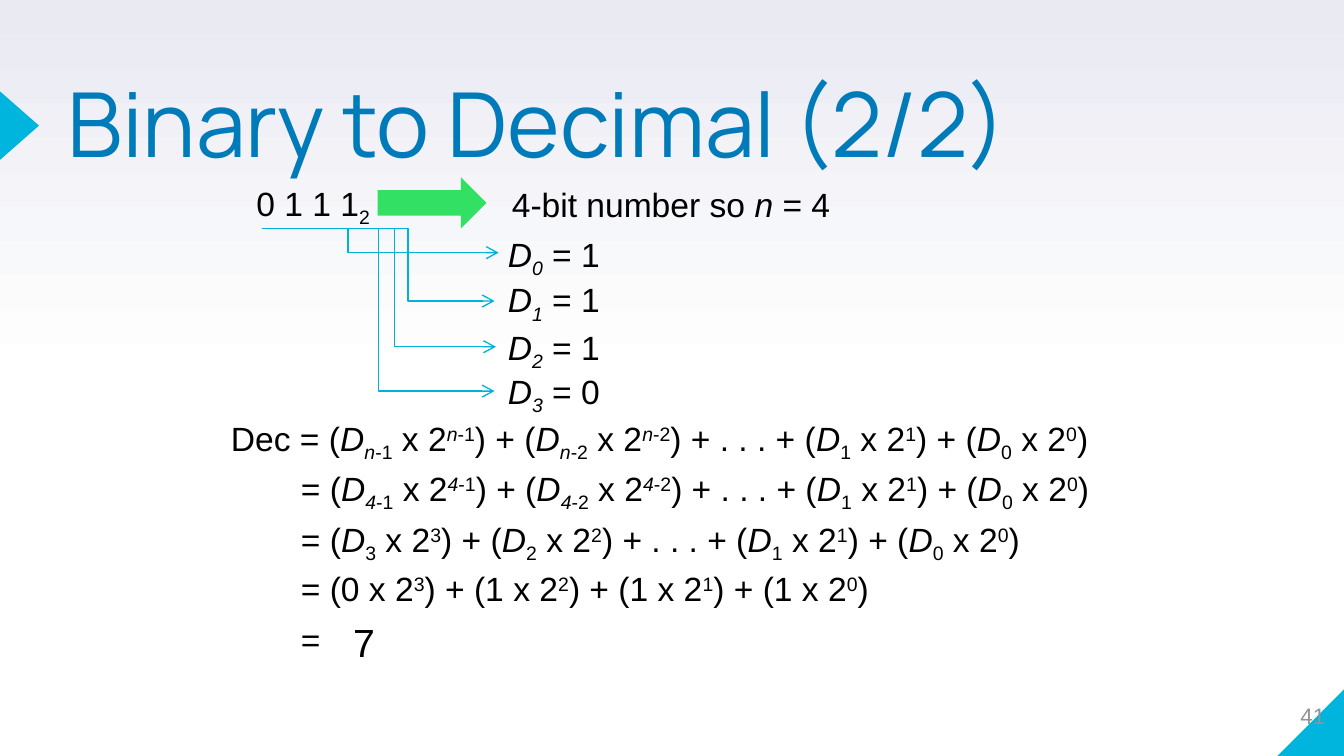
from copy import deepcopy

from lxml import etree
from pptx import Presentation
from pptx import util as u
from pptx.dml.color import RGBColor
from pptx.enum import shapes, text
from pptx.oxml.ns import qn

BASELINES = {"_": "-25000", "^": "30000"}


def rgb(value):
    return RGBColor.from_string(value)


def write(left, top, width, height, markup, size=18, font="Arial", color="000000", wrap=False):
    """Add a text box; spans are split by |, with prefixes _ subscript, ^ superscript, * italic."""
    box = page.shapes.add_textbox(u.Inches(left), u.Inches(top), u.Inches(width), u.Inches(height))
    frame = box.text_frame
    frame.word_wrap = wrap
    frame.auto_size = text.MSO_AUTO_SIZE.SHAPE_TO_FIT_TEXT
    for piece in markup.split("|"):
        span = frame.paragraphs[0].add_run()
        baseline = BASELINES.get(piece[0])
        piece = piece.lstrip("_^")
        span.text = piece.lstrip("*")
        span.font.size = u.Pt(size)
        span.font.name = font
        span.font.color.rgb = rgb(color)
        span.font.italic = piece.startswith("*")
        if baseline:
            span._r.get_or_add_rPr().set("baseline", baseline)
    return frame


deck = Presentation()
deck.slide_width = u.Inches(10)
deck.slide_height = u.Inches(10) * 9 // 16
page = deck.slides.add_slide(deck.slide_layouts[6])

# Background: white lower half, fading to pale lilac at the top
background = page.background.fill
background.gradient()
background.gradient_angle = 90
stop_list = page.background._cSld.find(".//" + qn("a:gsLst"))
stop_list.insert(1, deepcopy(stop_list[0]))
for stop, position, color in zip(background.gradient_stops, (0, 0.5, 1), ("FFFFFF", "FFFFFF", "E9EAF2")):
    stop.position = position
    stop.color.rgb = rgb(color)

# Corner, title marker and arrow to the bit count
preset = shapes.MSO_SHAPE
for kind, left, top, width, height, color, rotation, flip in (
    (preset.RIGHT_TRIANGLE, 9.5, 5.12, 0.51, 0.51, "00B5DD", 0, True),
    (preset.ISOSCELES_TRIANGLE, -0.11, 0.79, 0.51, 0.29, "00B5DD", 90, False),
    (preset.RIGHT_ARROW, 2.81, 1.32, 0.81, 0.38, "32E164", 0, False),
):
    shape = page.shapes.add_shape(kind, u.Inches(left), u.Inches(top), u.Inches(width), u.Inches(height))
    shape.shadow.inherit = False
    shape.fill.solid()
    shape.fill.fore_color.rgb = rgb(color)
    shape.line.fill.background()
    shape.rotation = rotation
    if flip:
        shape._element.spPr.xfrm.set("flipH", "1")

# Title and slide number
title = write(0.5, 0.66, 9, 1.18, "Binary to Decimal (2/2)", 48, "Manrope", "007BB9", wrap=True)
title.auto_size = text.MSO_AUTO_SIZE.NONE
title.margin_left = title.margin_right = title.margin_top = title.margin_bottom = 0
title.paragraphs[0].line_spacing = 0.8

number = write(9.46, 5.07, 0.5, 0.51, "41", 12, color="919398", wrap=True)
number.auto_size = text.MSO_AUTO_SIZE.NONE
number.vertical_anchor = text.MSO_ANCHOR.MIDDLE
number.paragraphs[0].alignment = text.PP_ALIGN.RIGHT

# Binary number and its digits
write(1.81, 1.31, 1.07, 0.4, "0 1 1 1|_2")
write(3.71, 1.32, 2.59, 0.4, "4-bit number so |*n| = 4")
for index, (bit, top) in enumerate(zip((1, 1, 1, 0), (1.69, 2.03, 2.38, 2.71))):
    write(3.68, top, 0.9, 0.4, f"*D|_*{index}| = {bit}")

# Expansion, line by line
low_terms = ") + . . . + (|*D|_1| x 2|^1|) + (|*D|_0| x 2|^0|)"
for lead, bits, left, top, width, wrap in (
    ("Dec = (", "n", 1.62, 3.06, 6.81, False),
    ("= (", "4", 2.14, 3.43, 6.68, True),
):
    high_terms = "|) + (|".join(f"*D|_*{bits}|_-{step}| x 2|^*{bits}|^-{step}" for step in (1, 2))
    write(left, top, width, 0.4, f"{lead}|{high_terms}|{low_terms}", wrap=wrap)
write(2.14, 3.81, 5.78, 0.4, f"= (|*D|_3| x 2|^3|) + (|*D|_2| x 2|^2|{low_terms}", wrap=True)
write(2.14, 4.18, 4.51, 0.4, "= (0 x 2|^3|) + (1 x 2|^2|) + (1 x 2|^1|) + (1 x 2|^0|)")
write(2.14, 4.56, 0.35, 0.4, "=")
write(2.53, 4.55, 0.36, 0.45, "7", 21)

# Elbow arrows from each bit to its digit; bend is a share of the width
for start, end, bottom, bend in (
    (2.59, 3.71, 1.88, 0),
    (2.39, 3.68, 2.24, 0.5),
    (2.18, 3.69, 2.58, 0.5),
    (1.95, 3.68, 2.91, 0.5),
):
    arrow = page.shapes.add_connector(
        shapes.MSO_CONNECTOR.ELBOW, u.Inches(start), u.Inches(1.7), u.Inches(end), u.Inches(bottom)
    )
    arrow.line.color.rgb = rgb("00B1D8")
    arrow.line.width = u.Pt(0.75)
    etree.SubElement(arrow.line._get_or_add_ln(), qn("a:tailEnd"), type="arrow")
    properties = arrow._element.spPr
    etree.SubElement(properties, qn("a:effectLst"))
    guides = properties.find(qn("a:prstGeom")).get_or_add_avLst()
    etree.SubElement(guides, qn("a:gd"), name="adj1", fmla=f"val {int(bend * 100000)}")

deck.save("out.pptx")
